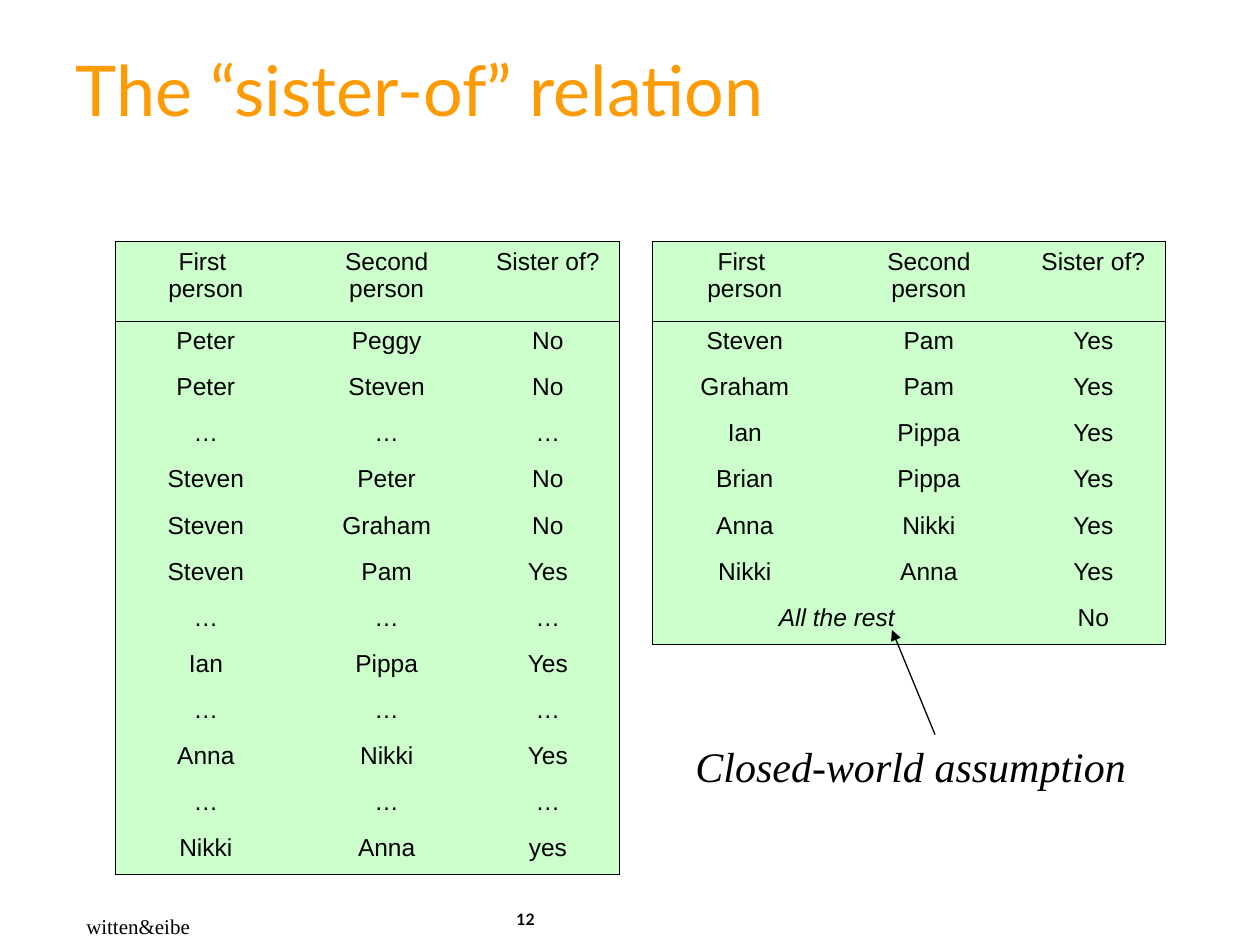
import copy
from dataclasses import dataclass

import pptx
import pptx.dml.color
import pptx.enum.shapes
import pptx.enum.text
import pptx.oxml
import pptx.oxml.ns
import pptx.util

Cm = pptx.util.Cm
Pt = pptx.util.Pt
RGBColor = pptx.dml.color.RGBColor
ALIGN = pptx.enum.text.PP_ALIGN
qn = pptx.oxml.ns.qn

ORANGE = RGBColor(0xFE, 0x9B, 0x03)
BLACK = RGBColor(0x00, 0x00, 0x00)
PALE_GREEN = RGBColor(0xCC, 0xFF, 0xCC)

HEADER_HEIGHT = 1.6
ROW_HEIGHT = 0.93
BORDER_WIDTH = Pt(0.45)
DRAWING_NS = "http://schemas.openxmlformats.org/drawingml/2006/main"

HEADER = ("First \nperson", "Second person", "Sister of?")
GAP = ("…", "…", "…")


@dataclass
class RelationTable:
    """Left edge and column widths are in centimetres."""
    left: float
    widths: tuple[float, ...]
    rows: list[tuple[str, ...]]


@dataclass
class Label:
    """Box lengths are in centimetres."""
    text: str
    box: tuple[float, float, float, float]
    font: str
    size: float
    bold: bool = False
    italic: bool = False


ALL_PAIRS = RelationTable(2.32, (3.66, 3.63, 2.87), [
    ("Peter", "Peggy", "No"),
    ("Peter", "Steven", "No"),
    GAP,
    ("Steven", "Peter", "No"),
    ("Steven", "Graham", "No"),
    ("Steven", "Pam", "Yes"),
    GAP,
    ("Ian", "Pippa", "Yes"),
    GAP,
    ("Anna", "Nikki", "Yes"),
    GAP,
    ("Nikki", "Anna", "yes"),
])

# An empty second cell is merged into the first.
SISTERS_ONLY = RelationTable(13.16, (3.71, 3.71, 2.92), [
    ("Steven", "Pam", "Yes"),
    ("Graham", "Pam", "Yes"),
    ("Ian", "Pippa", "Yes"),
    ("Brian", "Pippa", "Yes"),
    ("Anna", "Nikki", "Yes"),
    ("Nikki", "Anna", "Yes"),
    ("All the rest", "", "No"),
])

LABELS = [
    Label("Closed-world assumption", (13.77, 14.81, 9.4, 1.27),
          "Times New Roman", 24, italic=True),
    Label("witten&eibe", (1.49, 18.29, 2.8, 0.76), "Times New Roman", 12),
    Label("12", (10.16, 18.21, 2.59, 0.84), "Lato", 9, bold=True),
]


def write_text(text_frame, text: str, *, font: str = "Arial", size: float = 14,
               color: RGBColor = BLACK, bold: bool = False, italic: bool = False,
               align=ALIGN.LEFT, line_spacing: float | None = None) -> None:
    paragraph = text_frame.paragraphs[0]
    paragraph.text = text
    paragraph.alignment = align
    paragraph.line_spacing = line_spacing
    for run in paragraph.runs:
        run.font.name = font
        run.font.size = Pt(size)
        run.font.color.rgb = color
        run.font.bold = bold
        run.font.italic = italic
    for line_break in paragraph._p.findall(qn("a:br")):
        line_break.append(copy.deepcopy(paragraph.runs[0]._r.rPr))


def set_borders(cell, visible: dict[str, bool]) -> None:
    """Draw the visible sides (L, R, T, B) and clear the others."""
    properties = cell._tc.get_or_add_tcPr()
    for side, shown in visible.items():
        paint = (f'<a:solidFill><a:srgbClr val="{BLACK}"/></a:solidFill>'
                 if shown else "<a:noFill/>")
        properties.append(pptx.oxml.parse_xml(
            f'<a:ln{side} xmlns:a="{DRAWING_NS}" w="{BORDER_WIDTH}">{paint}</a:ln{side}>'))


def add_relation_table(slide, relation: RelationTable) -> None:
    rows = [HEADER, *relation.rows]
    last_row, last_column = len(rows) - 1, len(HEADER) - 1
    height = HEADER_HEIGHT + ROW_HEIGHT * last_row
    table = slide.shapes.add_table(
        len(rows), len(HEADER), Cm(relation.left), Cm(4.87),
        Cm(sum(relation.widths)), Cm(height)).table
    table.first_row = False
    table.horz_banding = False
    for column, width in zip(table.columns, relation.widths):
        column.width = Cm(width)
    for r, values in enumerate(rows):
        table.rows[r].height = Cm(ROW_HEIGHT if r else HEADER_HEIGHT)
        merged = not values[1]
        for c, value in enumerate(values):
            cell = table.cell(r, c)
            set_borders(cell, {"L": c == 0, "R": c == last_column,
                               "T": r <= 1, "B": r in (0, last_row)})
            cell.fill.solid()
            cell.fill.fore_color.rgb = PALE_GREEN
            if value:
                write_text(cell.text_frame, value, align=ALIGN.CENTER,
                           italic=merged and c == 0)
        if merged:
            table.cell(r, 0).merge(table.cell(r, 1))


def add_label(slide, label: Label) -> None:
    text_frame = slide.shapes.add_textbox(*map(Cm, label.box)).text_frame
    text_frame.word_wrap = True
    write_text(text_frame, label.text, font=label.font, size=label.size,
               bold=label.bold, italic=label.italic)


def add_arrow(slide, tip: tuple[float, float], tail: tuple[float, float]) -> None:
    arrow = slide.shapes.add_connector(
        pptx.enum.shapes.MSO_CONNECTOR.STRAIGHT, *map(Cm, (*tip, *tail)))
    arrow.line.color.rgb = BLACK
    arrow.line.width = Pt(0.75)
    arrow.line._get_or_add_ln().append(pptx.oxml.parse_xml(
        f'<a:headEnd xmlns:a="{DRAWING_NS}" type="triangle"/>'))
    arrow._element.spPr.append(pptx.oxml.parse_xml(
        f'<a:effectLst xmlns:a="{DRAWING_NS}"/>'))


def add_title(slide, text: str) -> None:
    title = slide.shapes.title
    title.left, title.top, title.width, title.height = map(Cm, (1.27, 0.64, 23.06, 2.54))
    title.text_frame.vertical_anchor = pptx.enum.text.MSO_ANCHOR.MIDDLE
    write_text(title.text_frame, text, font="Lato", size=40, color=ORANGE,
               line_spacing=0.85)


def main() -> None:
    presentation = pptx.Presentation()
    presentation.slide_width = Cm(25.4)
    presentation.slide_height = Cm(19.05)
    slide = presentation.slides.add_slide(presentation.slide_layouts[5])
    add_title(slide, "The “sister-of” relation")
    for relation in (ALL_PAIRS, SISTERS_ONLY):
        add_relation_table(slide, relation)
    add_arrow(slide, tip=(17.98, 12.7), tail=(18.85, 14.81))
    for label in LABELS:
        add_label(slide, label)
    presentation.save("out.pptx")


if __name__ == "__main__":
    main()
